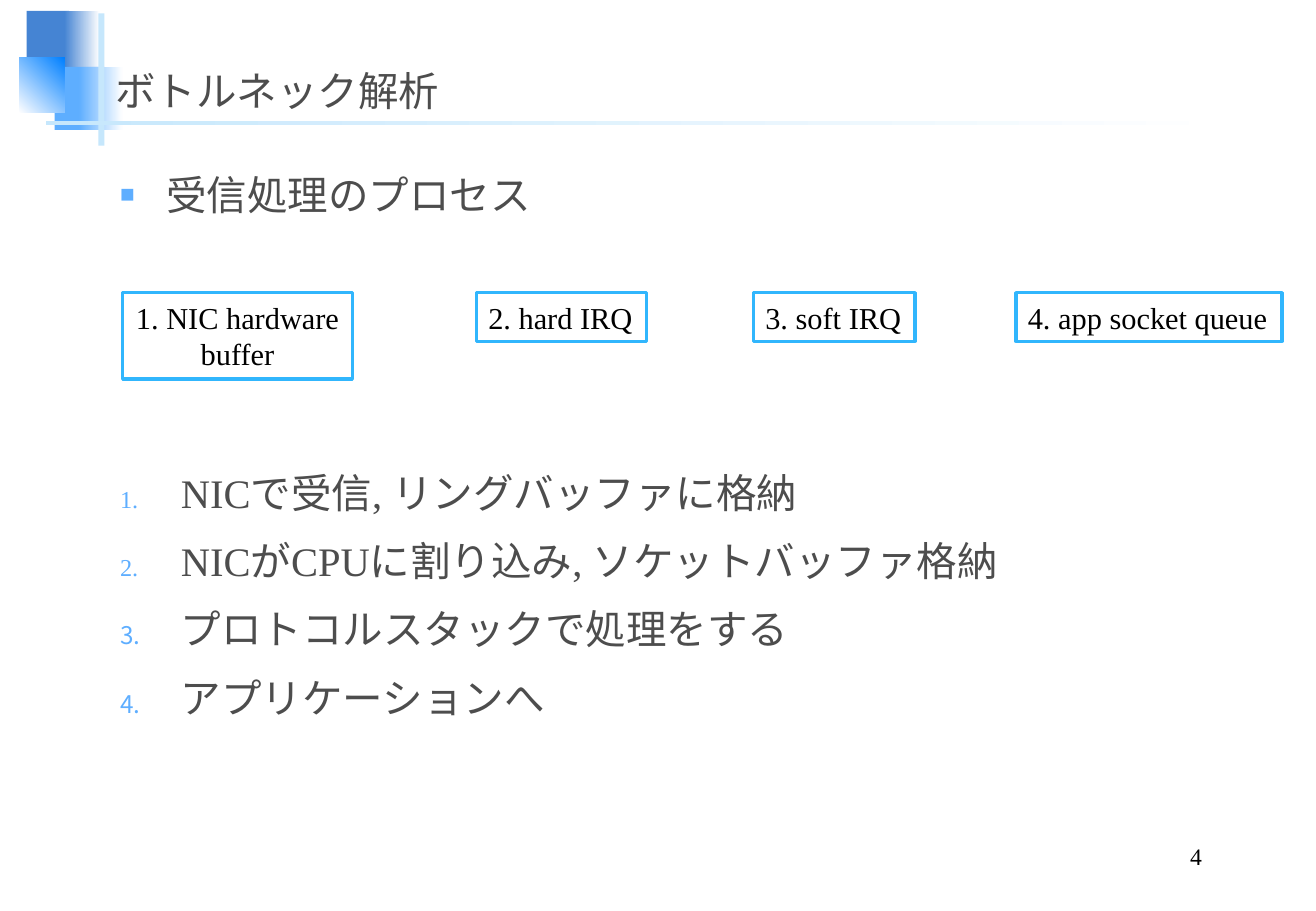
"""Build the slide on the receive process and its four stages."""
from lxml.etree import SubElement
from pptx import Presentation
from pptx.dml.color import RGBColor
from pptx.enum.shapes import MSO_SHAPE
from pptx.enum.text import MSO_ANCHOR, MSO_AUTO_SIZE, PP_ALIGN
from pptx.oxml.ns import qn
from pptx.util import Pt

TITLE = "ボトルネック解析"
TOPIC = ["受信処理のプロセス"]
STEPS = [
    "NICで受信, リングバッファに格納",
    "NICがCPUに割り込み, ソケットバッファ格納",
    "プロトコルスタックで処理をする",
    "アプリケーションへ",
]
STAGES = [
    ("1. NIC hardware\nbuffer", 101, 189, 71),
    ("2. hard IRQ", 392, 140, 40),
    ("3. soft IRQ", 620, 133, 40),
    ("4. app socket queue", 836, 219, 40),
]
COLORS = {
    "navy": "4584D3", "sky": "5EAEFF", "blue": "0080FF", "pale": "C6E7FC",
    "white": "FFFFFF", "edge": "31B6FD", "gray": "4D4D4D", "black": "000000",
}
DECOR = [
    ((22, 9, 35, 52), ["navy"], 0),
    ((53, 9, 29, 52), ["navy", "white"], 0),
    ((45, 55, 41, 52), ["sky"], 0),
    ((65, 55, 36, 52), ["sky", "white"], 0),
    ((16, 47, 37, 46), ["white", "blue"], 45),
    ((81, 11, 5, 109), ["pale"], 0),
    ((38, 100, 975, 3), ["pale", "white"], 0),
]
FONT = "Times New Roman"
PX = 9144
STAGE_TOP = 241


def color(name):
    return RGBColor.from_string(COLORS[name])


def rect(area, tones, angle=0):
    shape = slide.shapes.add_shape(MSO_SHAPE.RECTANGLE, *[n * PX for n in area])
    shape.shadow.inherit = False
    shape.line.fill.background()
    if len(tones) == 1:
        shape.fill.solid()
        shape.fill.fore_color.rgb = color(tones[0])
    else:
        shape.fill.gradient()
        shape.fill.gradient_angle = angle
        for stop, tone in zip(shape.fill.gradient_stops, tones):
            stop.color.rgb = color(tone)
    return shape


def style(frame, size, tone, align=PP_ALIGN.LEFT):
    for para in frame.paragraphs:
        para.alignment = align
        for run in para.runs:
            run.font.size = Pt(size)
            run.font.name = FONT
            run.font.color.rgb = color(tone)


def label(area, text, size, tone, align=PP_ALIGN.LEFT, anchor=MSO_ANCHOR.TOP):
    frame = slide.shapes.add_textbox(*[n * PX for n in area]).text_frame
    frame.word_wrap = True
    frame.vertical_anchor = anchor
    frame.text = text
    style(frame, size, tone, align)
    return frame


def bullets(area, lines, indent, tag, **mark):
    frame = label(area, "\n".join(lines), 24, "gray")
    for i, para in enumerate(frame.paragraphs):
        props = para._p.get_or_add_pPr()
        props.set("marL", str(indent * PX))
        props.set("indent", str(-indent * PX))
        tint = SubElement(props, qn("a:buClr"))
        SubElement(tint, qn("a:srgbClr"), val=COLORS["sky"])
        SubElement(props, qn("a:buSzPct"), val="60000")
        SubElement(props, qn("a:buFont"), typeface=FONT)
        SubElement(props, qn(tag), **mark)
        para.line_spacing = 1.2
        para.space_before = Pt(6 if i else 0)


deck = Presentation()
deck.slide_width, deck.slide_height = 1083 * PX, 750 * PX
slide = deck.slides.add_slide(deck.slide_layouts[6])

for area, tones, angle in DECOR:
    rect(area, tones, angle)

label((85, 36, 929, 63), TITLE, 24, "gray", anchor=MSO_ANCHOR.BOTTOM)
bullets((89, 127, 906, 79), TOPIC, 38, "a:buChar", char="■")
label((773, 690, 226, 31), "4", 14, "black", PP_ALIGN.RIGHT, MSO_ANCHOR.BOTTOM)

for text, left, width, height in STAGES:
    box = rect((left, STAGE_TOP, width, height), ["white"])
    box.line.color.rgb = color("edge")
    box.line.width = Pt(2)
    frame = box.text_frame
    frame.word_wrap = False
    frame.auto_size = MSO_AUTO_SIZE.SHAPE_TO_FIT_TEXT
    frame.vertical_anchor = MSO_ANCHOR.TOP
    frame.text = text
    style(frame, 18, "black", PP_ALIGN.CENTER if "\n" in text else PP_ALIGN.LEFT)

bullets((89, 372, 906, 318), STEPS, 50, "a:buAutoNum", type="arabicPeriod")

deck.save("out.pptx")
